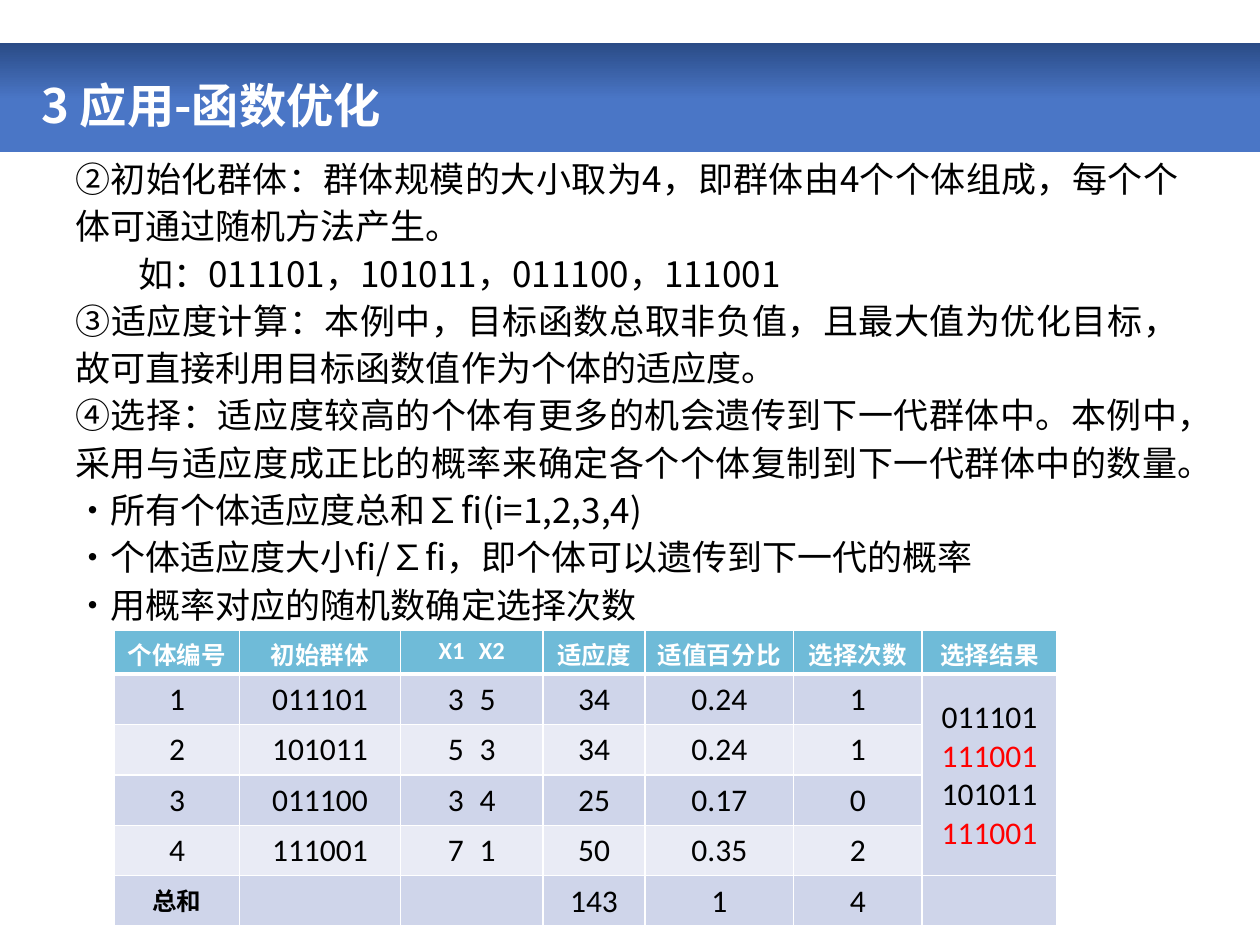
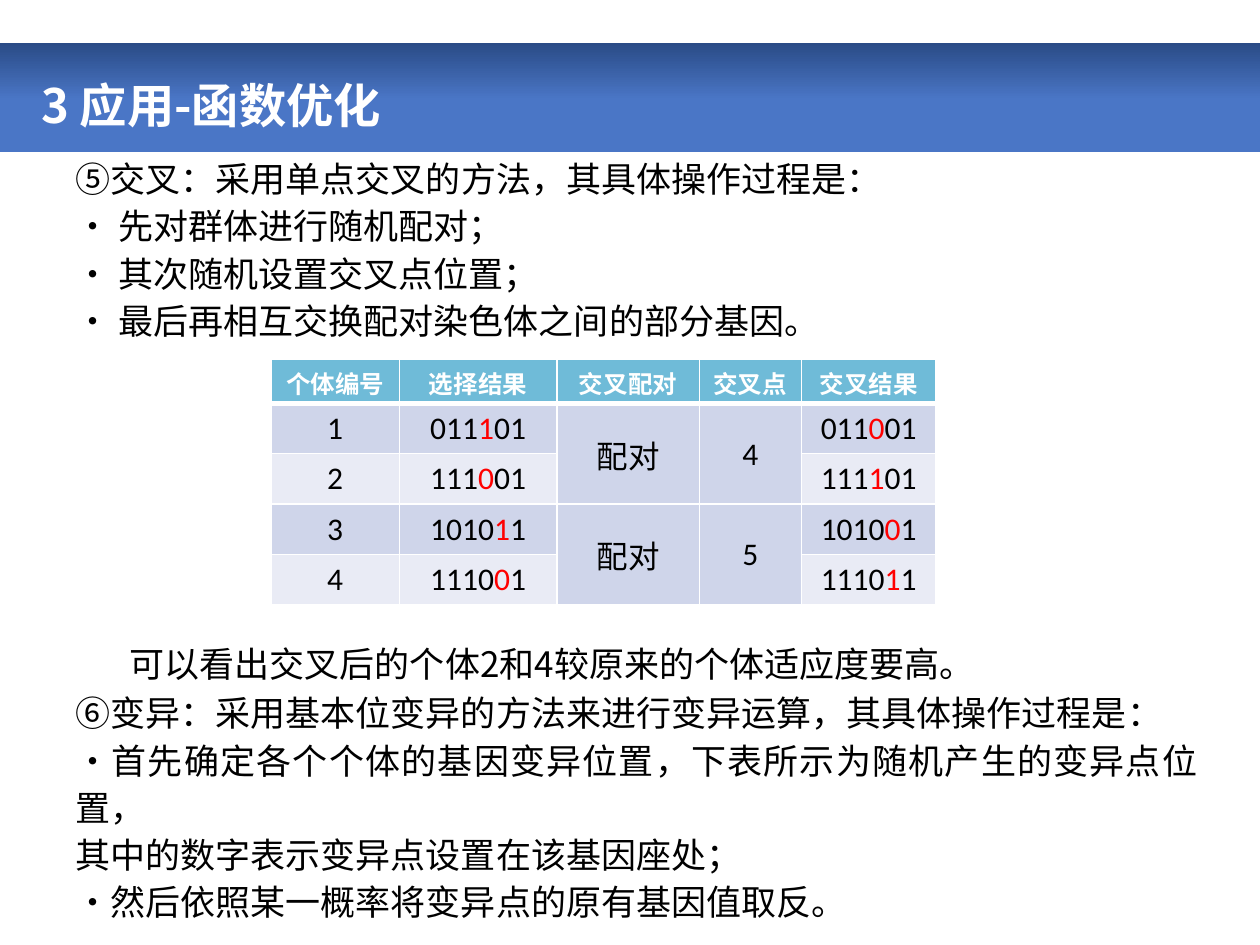
import pptx
import pptx.dml.color
import pptx.enum.shapes
import pptx.enum.text
import pptx.oxml
import pptx.oxml.ns
import pptx.util

SCALE = 9144
CJK_FONT = "Noto Sans CJK SC"
LATIN_FONT = "Calibri"
ALIGN = pptx.enum.text.PP_ALIGN
ANCHOR = pptx.enum.text.MSO_ANCHOR

WHITE, BLACK, RED = "FFFFFF", "000000", "FF0000"
BAND_LOW, BAND_TOP = "4A76C6", "2A4B86"
HEADER_FILL, ROW_FILLS = "6FBBD8", ("CFD5EA", "E9EBF5")

TITLE = {"name": CJK_FONT, "size": 27, "bold": True, "color": WHITE}
BODY = {"name": CJK_FONT, "size": 20, "bold": False, "color": BLACK}
HEADER = {"name": LATIN_FONT, "size": 14, "bold": True, "color": WHITE}
VALUE = {"name": LATIN_FONT, "size": 18, "bold": False, "color": BLACK}
TOTAL = HEADER | {"color": BLACK}
TOTAL_LABEL = "总和"
HEADER_HEIGHT, ROW_HEIGHT = 35, 40
CELL_MARGIN, GAP_SPACING = 5, 500


def px(length):
    return pptx.util.Emu(length * SCALE)


def rgb(value):
    return pptx.dml.color.RGBColor.from_string(value)


class SlideBuilder:
    """Draws the elements of the current slide in one shared style."""

    def __init__(self):
        self.presentation = pptx.Presentation()
        self.presentation.slide_width = px(1000)
        self.presentation.slide_height = px(750)
        self.slide = None

    def new_slide(self, title):
        self.slide = self.presentation.slides.add_slide(self.presentation.slide_layouts[6])
        self.band(0, 34, 1000, 87)
        frame = self.text_frame(23, 47, 935, 77)
        frame.vertical_anchor = ANCHOR.MIDDLE
        frame.paragraphs[0].line_spacing = 0.9
        self.runs(frame.paragraphs[0], title, TITLE)

    def band(self, *box):
        shape = self.slide.shapes.add_shape(
            pptx.enum.shapes.MSO_SHAPE.RECTANGLE, *map(px, box))
        shape.shadow.inherit = False
        shape.line.fill.background()
        shape.fill.gradient()
        shape.fill.gradient_angle = 90
        stops = ((0.48, BAND_LOW), (1, BAND_TOP))
        for stop, (position, color) in zip(shape.fill.gradient_stops, stops):
            stop.position = position
            stop.color.rgb = rgb(color)

    def text_frame(self, *box):
        frame = self.slide.shapes.add_textbox(*map(px, box)).text_frame
        frame.word_wrap = True
        return frame

    def runs(self, paragraph, text, style, **marked):
        for index, part in enumerate(text.split("|")):
            if not part:
                continue
            run = paragraph.add_run()
            run.text = part
            values = style | marked if index % 2 else dict(style)
            run.font.color.rgb = rgb(values.pop("color"))
            values["size"] = pptx.util.Pt(values["size"])
            for name, value in values.items():
                setattr(run.font, name, value)
            properties = run.font._element
            east_asian = pptx.oxml.ns.qn("a:ea")
            properties.makeelement(east_asian)
            latin = properties.find(pptx.oxml.ns.qn("a:latin"))
            latin.addnext(properties.makeelement(east_asian, {"typeface": CJK_FONT}))
            if part.isspace():
                properties.set("spc", str(GAP_SPACING))

    def body(self, box, lines, indents=None):
        frame = self.text_frame(*box)
        frame.auto_size = pptx.enum.text.MSO_AUTO_SIZE.SHAPE_TO_FIT_TEXT
        for index, line in enumerate(lines):
            paragraph = frame.add_paragraph() if index else frame.paragraphs[0]
            paragraph.alignment = ALIGN.JUSTIFY
            paragraph.line_spacing = pptx.util.Pt(27)
            if indents and index in indents:
                paragraph._p.get_or_add_pPr().set("indent", str(px(indents[index])))
            self.runs(paragraph, line, BODY, name=LATIN_FONT)

    def borders(self, cell, widths):
        properties = cell._tc.get_or_add_tcPr()
        for side, width in zip("LRTB", widths):
            properties.append(pptx.oxml.parse_xml(
                f'<a:ln{side} {pptx.oxml.ns.nsdecls("a")} w="{pptx.util.Pt(width)}">'
                f'<a:solidFill><a:srgbClr val="{WHITE}"/></a:solidFill></a:ln{side}>'))

    def cell(self, cell, text, row):
        self.borders(cell, (1, 1, 3 if row == 1 else 1, 1 if row else 3))
        cell.fill.solid()
        cell.fill.fore_color.rgb = rgb(ROW_FILLS[(row - 1) % 2] if row else HEADER_FILL)
        cell.margin_top = px(CELL_MARGIN)
        cell.margin_bottom = px(CELL_MARGIN - 1 if row else 0)
        style = HEADER if row == 0 else TOTAL if text == TOTAL_LABEL else VALUE
        for index, line in enumerate(text.split("\n")):
            frame = cell.text_frame
            paragraph = frame.add_paragraph() if index else frame.paragraphs[0]
            paragraph.alignment = ALIGN.CENTER
            self.runs(paragraph, line, style, color=RED)

    def table(self, left, top, widths, rows, merges):
        height = HEADER_HEIGHT + ROW_HEIGHT * (len(rows) - 1)
        table = self.slide.shapes.add_table(
            len(rows), len(widths), *map(px, (left, top, sum(widths), height))).table
        table.horz_banding = False
        for column, width in zip(table.columns, widths):
            column.width = px(width)
        for row, texts in enumerate(rows):
            table.rows[row].height = px(ROW_HEIGHT if row else HEADER_HEIGHT)
            for column, text in enumerate(texts):
                self.cell(table.cell(row, column), text, row)
        for first, last, column in merges:
            origin = table.cell(first, column)
            origin.merge(table.cell(last, column))
            origin.vertical_anchor = ANCHOR.MIDDLE


def selection_slide(builder):
    builder.new_slide("3 应用-函数优化")
    builder.body((50, 116, 895, 389), [
        "②初始化群体：群体规模的大小取为4，即群体由4个个体组成，每个个体可通过随机方法产生。",
        "如：011101，101011，011100，111001",
        "③|适应度计算：本例中，目标函数总取非负值，且最大值为优化目标，"
        "故可直接利用目标函数值作为个体的适应度。",
        "④选择：适应度较高的个体有更多的机会遗传到下一代群体中。本例中，"
        "采用与适应度成正比的概率来确定各个个体复制到下一代群体中的数量。",
        "·所有个体适应度总和∑fi(i=1,2,3,4)",
        "·个体适应度大小fi/∑fi，即个体可以遗传到下一代的概率",
        "·用概率对应的随机数确定选择次数",
    ], indents={1: 50})
    builder.table(91, 500, (99, 128, 113, 81, 118, 102, 107), [
        ("个体编号", "初始群体", "X1| |X2", "适应度", "适值百分比", "选择次数", "选择结果"),
        ("1", "011101", "3| |5", "34", "0.24", "1", "011101\n|111001\n101011\n|111001"),
        ("2", "101011", "5| |3", "34", "0.24", "1", ""),
        ("3", "011100", "3| |4", "25", "0.17", "0", ""),
        ("4", "111001", "7| |1", "50", "0.35", "2", ""),
        (TOTAL_LABEL, "", "", "143", "1", "4", ""),
    ], merges=[(1, 4, 6)])


def crossover_slide(builder):
    builder.new_slide("3 应用-函数优化")
    builder.body((50, 116, 895, 157), [
        "⑤交叉：采用单点交叉的方法，其具体操作过程是：",
        "• 先对群体进行随机配对；",
        "• 其次随机设置交叉点位置；",
        "• 最后再相互交换配对染色体之间的部分基因。",
    ])
    builder.table(215, 285, (102, 125, 113, 81, 107), [
        ("个体编号", "选择结果", "交叉配对", "交叉点", "交叉结果"),
        ("1", "011|1|01", "配对", "4", "011|0|01"),
        ("2", "111|0|01", "", "", "111|1|01"),
        ("3", "1010|1|1", "配对", "5", "1010|0|1"),
        ("4", "1110|0|1", "", "", "1110|1|1"),
    ], merges=[(first, first + 1, column) for first in (1, 3) for column in (2, 3)])
    builder.body((93, 501, 895, 48), ["可以看出交叉后的个体2和4较原来的个体适应度要高。"])
    builder.body((50, 540, 910, 162), [
        "⑥变异：采用基本位变异的方法来进行变异运算，其具体操作过程是：",
        "•首先确定各个个体的基因变异位置，下表所示为随机产生的变异点位置，",
        "其中的数字表示变异点设置在该基因座处；",
        "•然后依照某一概率将变异点的原有基因值取反。",
    ])


def main():
    builder = SlideBuilder()
    selection_slide(builder)
    crossover_slide(builder)
    builder.presentation.save("out.pptx")


if __name__ == "__main__":
    main()
